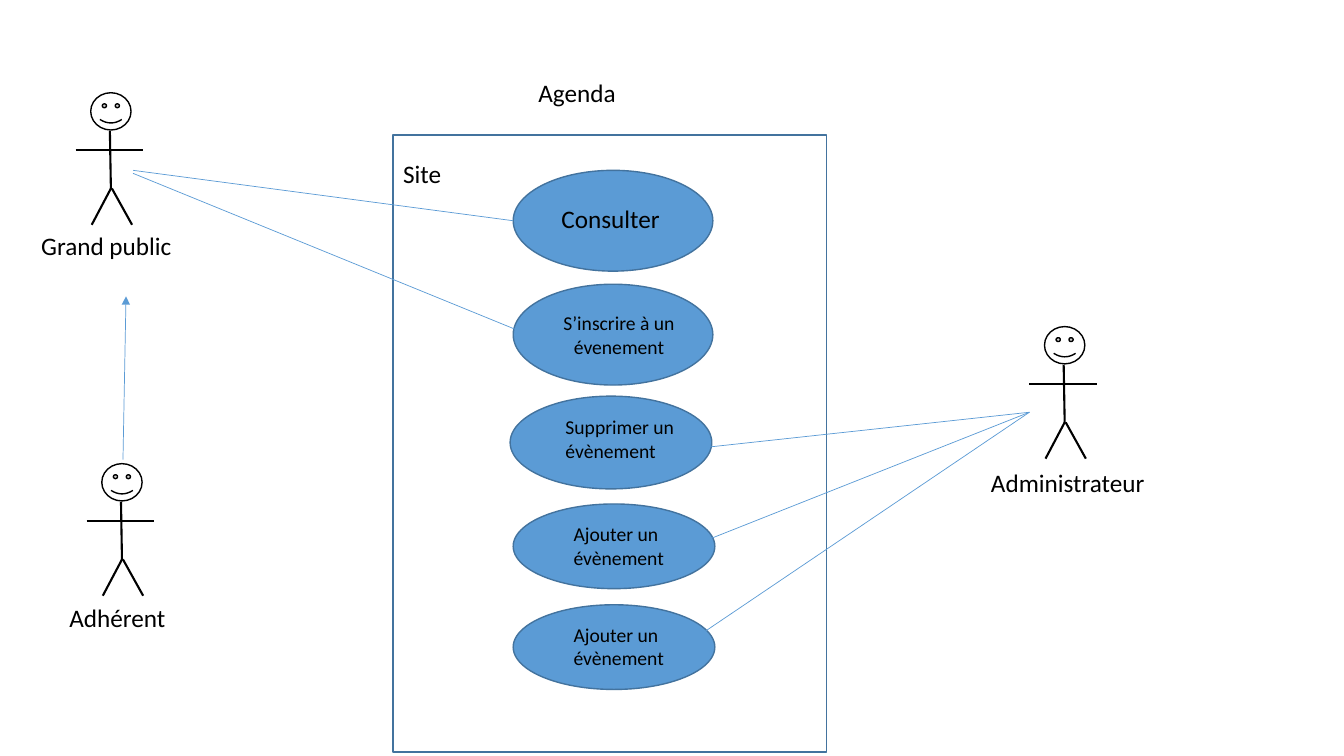
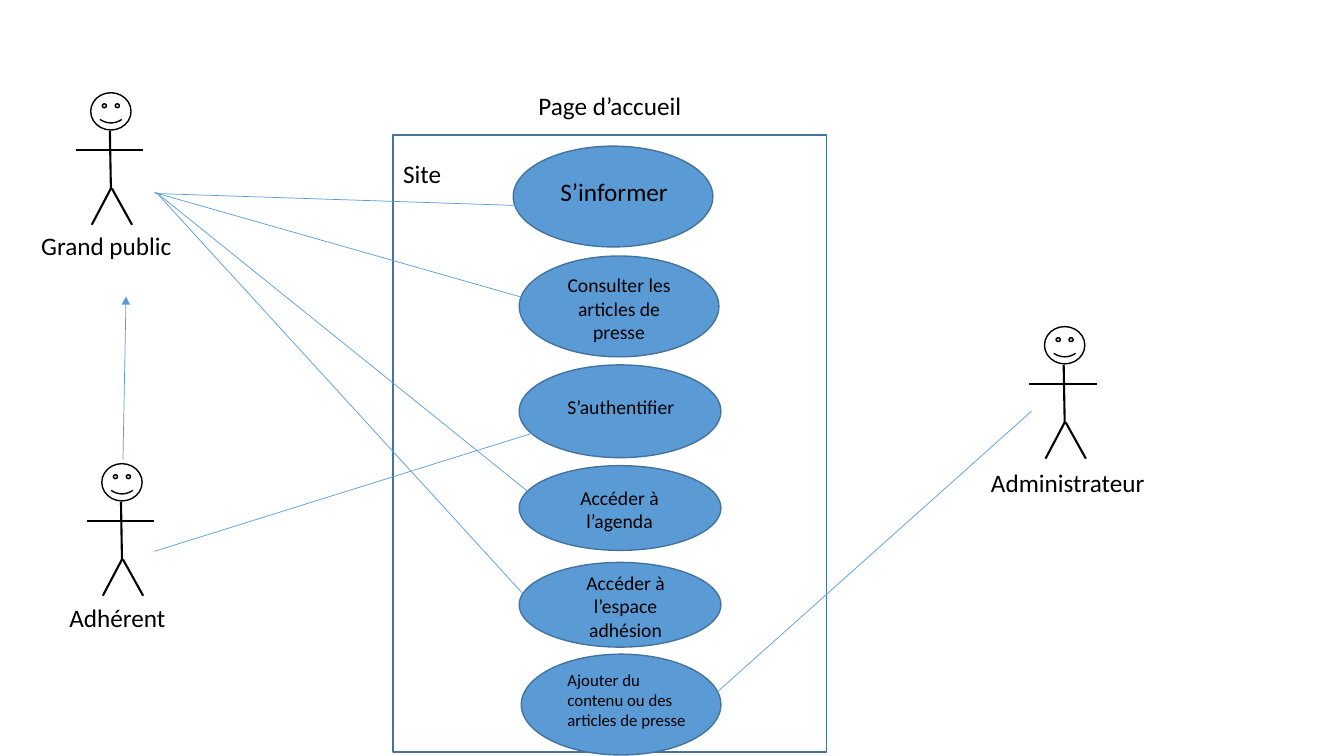
from lxml.etree import SubElement
from pptx import Presentation
from pptx.dml.color import RGBColor
from pptx.enum.shapes import MSO_CONNECTOR, MSO_SHAPE
from pptx.enum.text import MSO_ANCHOR, MSO_AUTO_SIZE, PP_ALIGN
from pptx.oxml.ns import qn
from pptx.util import Inches, Pt

COLORS = {
    "paper": "FFFFFF",
    "ink": "000000",
    "use_case": "5B9BD5",
    "border": "43739E",
}
FONT = "Calibri"
LEFT, CENTER = PP_ALIGN.LEFT, PP_ALIGN.CENTER

ACTORS = [
    ("Grand public", (0.9, 0.92), (0.31, 2.24, 1.74, 0.4)),
    ("Adhérent", (1.01, 4.6), (0.59, 5.93, 1.25, 0.4)),
    ("Administrateur", (10.36, 3.24), (9.73, 4.59, 1.82, 0.4)),
]
LIMBS = [
    ((0.19, 0.38), (0.2, 0.96)),
    ((-0.15, 0.57), (0.52, 0.57)),
    ((0.21, 0.95), (0.41, 1.31)),
    ((0.2, 0.95), (0.01, 1.31)),
]

AGENDA_CASES = [
    ("Consulter", (5.09, 1.69, 1.98, 1), (5.47, 1.97, 1.21, 0.4), 18, LEFT),
    ("S’inscrire à un évenement", (5.09, 2.82, 1.98, 1), (5.48, 3.04, 1.32, 0.57), 14, CENTER),
    ("Supprimer un évènement", (5.06, 3.93, 2, 0.92), (5.51, 4.07, 1.37, 0.57), 14, LEFT),
    ("Ajouter un évènement", (5.09, 5, 2, 0.84), (5.59, 5.13, 1.21, 0.57), 14, LEFT),
    ("Ajouter un évènement", (5.09, 6, 2, 0.84), (5.59, 6.13, 1.21, 0.57), 14, LEFT),
]
AGENDA_LINKS = [
    ((1.32, 1.69), (5.09, 2.19)),
    ((1.32, 1.72), (5.24, 3.32)),
    ((10.21, 4.09), (6.8, 4.46)),
    ((10.21, 4.09), (6.88, 5.41)),
    ((10.21, 4.09), (6.88, 6.34)),
]

HOME_CASES = [
    ("S’informer", (5.09, 1.45, 1.98, 1), (5.46, 1.7, 1.35, 0.4), 18, LEFT),
    ("Consulter les articles de presse", (5.15, 2.54, 1.98, 1), (5.48, 2.66, 1.32, 0.81), 14, CENTER),
    ("S’authentifier", (5.15, 3.62, 2, 0.92), (5.53, 3.87, 1.37, 0.34), 14, LEFT),
    ("Accéder à l’agenda", (5.15, 4.62, 2, 0.84), (5.54, 4.77, 1.21, 0.57), 14, CENTER),
    ("Accéder à l’espace adhésion", (5.15, 5.58, 2, 0.84), (5.6, 5.61, 1.21, 0.81), 14, CENTER),
    ("Ajouter du contenu ou des articles de presse", (5.17, 6.49, 1.98, 1),
     (5.53, 6.59, 1.45, 0.71), 12, LEFT),
]
HOME_LINKS = [
    ((1.54, 1.92), (5.46, 2.05)),
    ((1.53, 5.47), (5.53, 4.22)),
    ((1.53, 1.91), (5.46, 3.03)),
    ((1.55, 1.91), (5.39, 5)),
    ((1.56, 1.92), (5.36, 6.08)),
    ((10.23, 4.08), (7.03, 6.94)),
]


def rgb(name):
    return RGBColor.from_string(COLORS[name])


def inches(values):
    return [Inches(value) for value in values]


def write_text(frame, text, size, align=LEFT):
    frame.word_wrap = True
    frame.vertical_anchor = MSO_ANCHOR.TOP
    frame.text = text
    paragraph = frame.paragraphs[0]
    paragraph.alignment = align
    paragraph.font.name = FONT
    paragraph.font.size = Pt(size)
    paragraph.font.color.rgb = rgb("ink")


def add_label(slide, text, box, size=18, align=LEFT):
    label = slide.shapes.add_textbox(*inches(box))
    write_text(label.text_frame, text, size, align)
    label.text_frame.auto_size = MSO_AUTO_SIZE.SHAPE_TO_FIT_TEXT


def add_title(slide, text, box):
    title = slide.shapes.title
    title.left, title.top, title.width, title.height = inches(box)
    write_text(title.text_frame, text, 18)
    title.text_frame.auto_size = MSO_AUTO_SIZE.NONE


def add_outlined(slide, preset, box, fill, line):
    shape = slide.shapes.add_shape(preset, *inches(box))
    shape.shadow.inherit = False
    shape.fill.solid()
    shape.fill.fore_color.rgb = rgb(fill)
    shape.line.color.rgb = rgb(line)
    shape.line.width = Pt(1)


def add_line(slide, start, end, color="use_case", width=0.5, arrow=False):
    line = slide.shapes.add_connector(MSO_CONNECTOR.STRAIGHT, *inches(start + end))
    line.line.color.rgb = rgb(color)
    line.line.width = Pt(width)
    if arrow:
        SubElement(line.line._get_or_add_ln(), qn("a:tailEnd"), type="triangle")
    SubElement(line._element.spPr, qn("a:effectLst"))


def add_actor(slide, name, head, label_box):
    x, y = head
    add_outlined(slide, MSO_SHAPE.SMILEY_FACE, (x, y, 0.4, 0.37), "paper", "ink")
    for (x1, y1), (x2, y2) in LIMBS:
        add_line(slide, (x + x1, y + y1), (x + x2, y + y2), "ink", 1.5)
    add_label(slide, name, label_box)


def add_use_case(slide, text, oval, text_box, size, align):
    add_outlined(slide, MSO_SHAPE.OVAL, oval, "use_case", "border")
    add_label(slide, text, text_box, size, align)


def add_diagram(deck, title, title_box, use_cases, links):
    slide = deck.slides.add_slide(deck.slide_layouts[5])
    add_title(slide, title, title_box)
    add_outlined(slide, MSO_SHAPE.RECTANGLE, (3.9, 1.34, 4.3, 6.12), "paper", "border")
    add_label(slide, "Site", (3.9, 1.52, 1.19, 0.4))
    for actor in ACTORS:
        add_actor(slide, *actor)
    add_line(slide, (1.22, 4.56), (1.25, 2.94), arrow=True)
    for use_case in use_cases:
        add_use_case(slide, *use_case)
    for start, end in links:
        add_line(slide, start, end)


def main():
    deck = Presentation()
    deck.slide_width, deck.slide_height = Inches(13.33), Inches(7.5)
    add_diagram(deck, "Agenda", (5.24, 0.72, 1.38, 0.4), AGENDA_CASES, AGENDA_LINKS)
    add_diagram(deck, "Page d’accueil", (5.24, 0.85, 1.72, 0.4), HOME_CASES, HOME_LINKS)
    deck.save("out.pptx")


if __name__ == "__main__":
    main()
